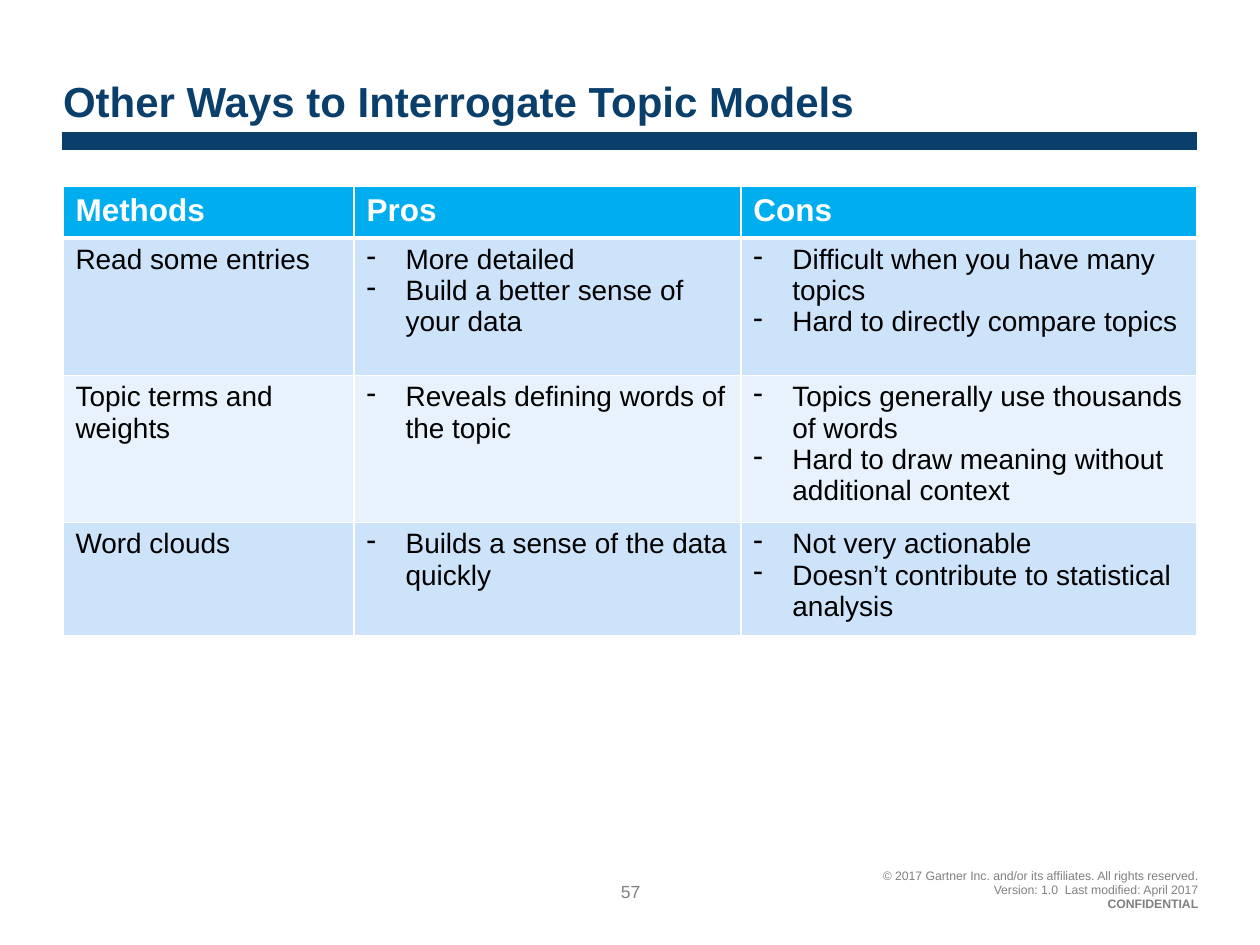
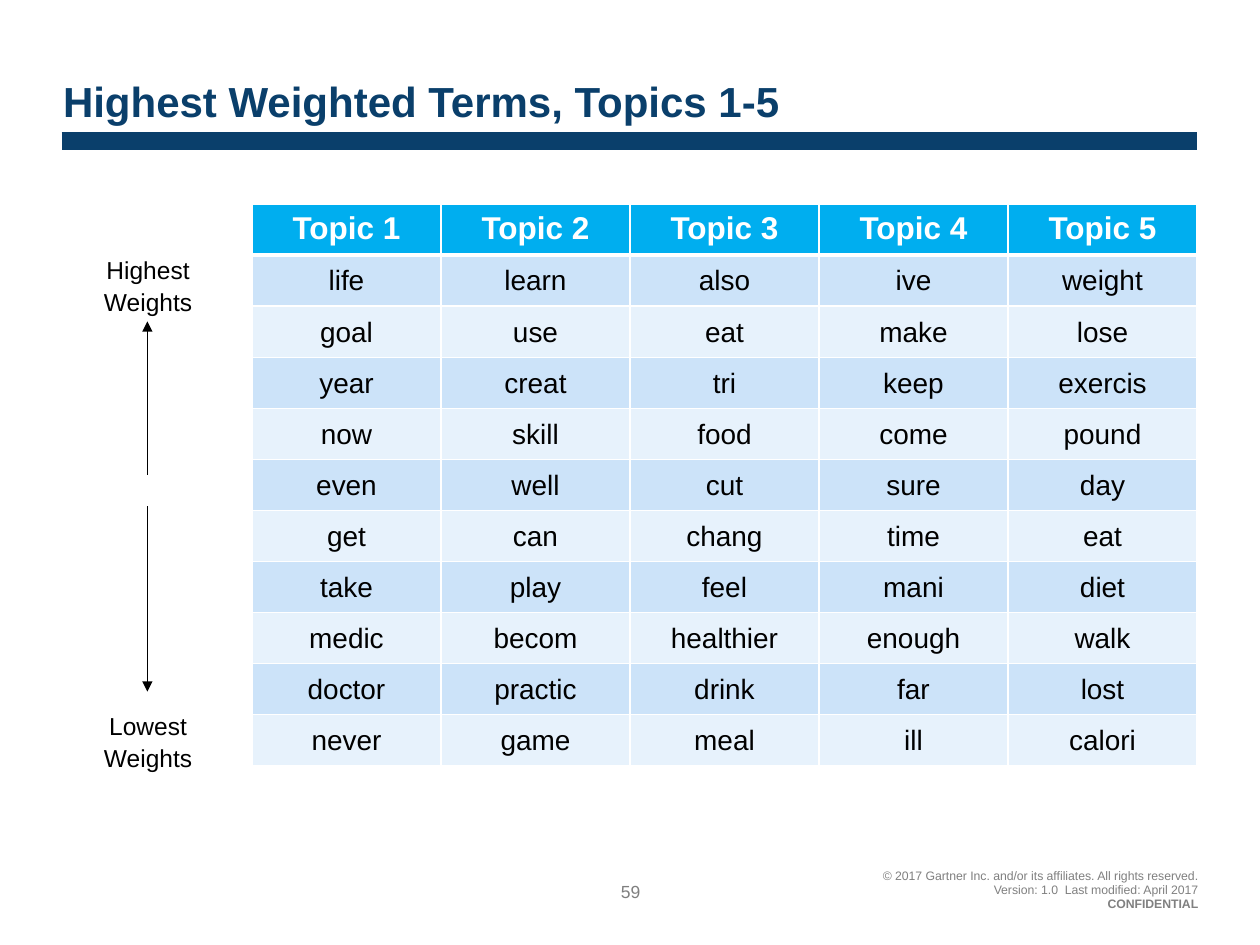
from dataclasses import dataclass
from typing import NamedTuple

from lxml.etree import SubElement as Sub
from pptx import Presentation
from pptx.dml.color import RGBColor as Rgb
from pptx.enum.shapes import MSO_CONNECTOR as Link
from pptx.enum.text import MSO_ANCHOR as Anchor, MSO_AUTO_SIZE as Fit, PP_ALIGN as Align
from pptx.oxml.ns import qn
from pptx.util import Inches, Pt


@dataclass(frozen=True)
class Theme:
    font: str = "Arial"
    navy: str = "0A3F6B"
    sky: str = "00AEEF"
    bands: tuple[str, str] = ("CCE3F9", "E7F2FC")
    white: str = "FFFFFF"
    black: str = "000000"
    gray: str = "7F7F7F"
    ash: str = "808080"
    title: float = 24
    head: float = 18
    body: float = 16
    label: float = 14
    page: float = 10
    legal: float = 7


THEME = Theme()


class Box(NamedTuple):
    left: float
    top: float
    width: float
    height: float


class Run(NamedTuple):
    text: str
    size: float
    color: str
    bold: bool = False


class Line(NamedTuple):
    start: tuple[float, float]
    end: tuple[float, float]
    color: str
    width: float
    arrow: bool = False


class Label(NamedTuple):
    text: str
    top: float


class Grid(NamedTuple):
    box: Box
    cols: list[float]
    rows: list[float]
    data: list[list]
    align: Align
    tight: bool = False


TITLE = Box(0.5, 0.4, 9, 0.65)
LEGAL = Box(4.51, 6.88, 5, 0.35)
PAGE = Box(4.81, 7.03, 0.39, 0.15)
BAR = Line((0.49, 1.12), (9.5, 1.12), THEME.navy, 10.25)
NOTICE = [
    Run("© 2017 Gartner Inc. and/or its affiliates. All rights reserved.", THEME.legal, THEME.gray),
    Run("Version: 1.0  Last modified: April 2017", THEME.legal, THEME.ash),
    Run("CONFIDENTIAL", THEME.legal, THEME.ash, True),
]

METHODS = Grid(
    Box(0.5, 1.48, 9, 3.42),
    [2.31, 3.07, 3.62],
    [0.41, 1.09, 1.09, 0.83],
    [
        ["Methods", "Pros", "Cons"],
        ["Read some entries",
         ["More detailed", "Build a better sense of your data"],
         ["Difficult when you have many topics", "Hard to directly compare topics"]],
        ["Topic terms and weights",
         ["Reveals defining words of the topic"],
         ["Topics generally use thousands of words",
          "Hard to draw meaning without additional context"]],
        ["Word clouds",
         ["Builds a sense of the data quickly"],
         ["Not very actionable", "Doesn’t contribute to statistical analysis"]],
    ],
    Align.LEFT,
)

TERMS = [
    "life learn also ive weight",
    "goal use eat make lose",
    "year creat tri keep exercis",
    "now skill food come pound",
    "even well cut sure day",
    "get can chang time eat",
    "take play feel mani diet",
    "medic becom healthier enough walk",
    "doctor practic drink far lost",
    "never game meal ill calori",
]
TOPICS = Grid(
    Box(2, 1.62, 7.5, 4.46),
    [1.5] * 5,
    [4.46 / 11] * 11,
    [[f"Topic {n}" for n in range(1, 6)], *(row.split() for row in TERMS)],
    Align.CENTER,
    True,
)

LABELS = [Label("Highest Weights", 2), Label("Lowest Weights", 5.62)]
ARROWS = [
    Line((1.17, 3.77), (1.17, 2.55), THEME.black, 0.01, True),
    Line((1.17, 4.02), (1.17, 5.49), THEME.black, 0.01, True),
]


def add_run(para, run: Run) -> None:
    part = para.add_run()
    part.text = run.text
    font = part.font
    font.name = THEME.font
    font.size = Pt(run.size)
    font.bold = run.bold
    font.color.rgb = Rgb.from_string(run.color)


def add_text(slide, box: Box, runs: list[Run], align: Align, space,
             anchor: Anchor = Anchor.TOP) -> None:
    frame = slide.shapes.add_textbox(*map(Inches, box)).text_frame
    frame.word_wrap = True
    frame.vertical_anchor = anchor
    frame.margin_left = frame.margin_right = frame.margin_top = frame.margin_bottom = 0
    for i, run in enumerate(runs):
        para = frame.add_paragraph() if i else frame.paragraphs[0]
        para.alignment = align
        para.line_spacing = space
        add_run(para, run)


def add_line(slide, line: Line) -> None:
    ends = map(Inches, (*line.start, *line.end))
    link = slide.shapes.add_connector(Link.STRAIGHT, *ends)
    link.line.color.rgb = Rgb.from_string(line.color)
    link.line.width = Pt(line.width)
    props = link._element.spPr
    if line.arrow:
        Sub(props.find(qn("a:ln")), qn("a:tailEnd"), type="triangle")
    Sub(props, qn("a:effectLst"))


def add_edges(cell, top: float, base: float) -> None:
    props = cell._tc.get_or_add_tcPr()
    sides = {"lnL": 1, "lnR": 1, "lnT": top, "lnB": base}
    for i, (side, width) in enumerate(sides.items()):
        edge = Sub(props, qn(f"a:{side}"), w=str(Pt(width)))
        Sub(Sub(edge, qn("a:solidFill")), qn("a:srgbClr"), val=THEME.white)
        props.insert(i, edge)


def add_dash(para) -> None:
    props = para._p.get_or_add_pPr()
    props.set("marL", str(Inches(0.31)))
    props.set("indent", str(Inches(-0.31)))
    Sub(props, qn("a:buChar"), char="-")


def fill_cell(cell, value: str | list[str], row: int, grid: Grid) -> None:
    head = row == 0
    cell.fill.solid()
    shade = THEME.sky if head else THEME.bands[(row - 1) % 2]
    cell.fill.fore_color.rgb = Rgb.from_string(shade)
    add_edges(cell, 3 if row == 1 else 1, 3 if head else 1)
    if grid.tight and not head:
        cell.vertical_anchor = Anchor.MIDDLE
        cell.margin_left = cell.margin_right = cell.margin_top = Inches(0.01)
        cell.margin_bottom = 0
    items = [value] if isinstance(value, str) else value
    frame = cell.text_frame
    for i, text in enumerate(items):
        para = frame.add_paragraph() if i else frame.paragraphs[0]
        para.alignment = grid.align
        if items is value:
            add_dash(para)
        size, color = (THEME.head, THEME.white) if head else (THEME.body, THEME.black)
        add_run(para, Run(text, size, color, head))


def add_grid(slide, grid: Grid) -> None:
    table = slide.shapes.add_table(
        len(grid.rows), len(grid.cols), *map(Inches, grid.box)).table
    for col, width in zip(table.columns, grid.cols):
        col.width = Inches(width)
    for r, (height, values) in enumerate(zip(grid.rows, grid.data)):
        table.rows[r].height = Inches(height)
        for c, value in enumerate(values):
            fill_cell(table.cell(r, c), value, r, grid)


def add_slide(deck, title: str, page: int):
    slide = deck.slides.add_slide(deck.slide_layouts[5])
    head = slide.shapes.title
    head.left, head.top, head.width, head.height = map(Inches, TITLE)
    frame = head.text_frame
    frame.auto_size = Fit.NONE
    frame.vertical_anchor = Anchor.BOTTOM
    frame.margin_left = 0
    frame.margin_right = Inches(0.1)
    frame.margin_top = frame.margin_bottom = Inches(0.05)
    para = frame.paragraphs[0]
    para.alignment = Align.LEFT
    add_run(para, Run(title, THEME.title, THEME.navy, True))
    add_line(slide, BAR)
    add_text(slide, LEGAL, NOTICE, Align.RIGHT, Pt(8), Anchor.BOTTOM)
    add_text(slide, PAGE, [Run(str(page), THEME.page, THEME.gray)], Align.CENTER, Pt(9))
    return slide


def main() -> None:
    deck = Presentation()
    deck.slide_width, deck.slide_height = Inches(10), Inches(7.5)

    add_grid(add_slide(deck, "Other Ways to Interrogate Topic Models", 57), METHODS)

    slide = add_slide(deck, "Highest Weighted Terms, Topics 1-5", 59)
    add_grid(slide, TOPICS)
    for label in LABELS:
        run = Run(label.text, THEME.label, THEME.black)
        add_text(slide, Box(0.7, label.top, 0.95, 0.47), [run], Align.CENTER, 1.1)
    for arrow in ARROWS:
        add_line(slide, arrow)

    deck.save("out.pptx")


if __name__ == "__main__":
    main()
